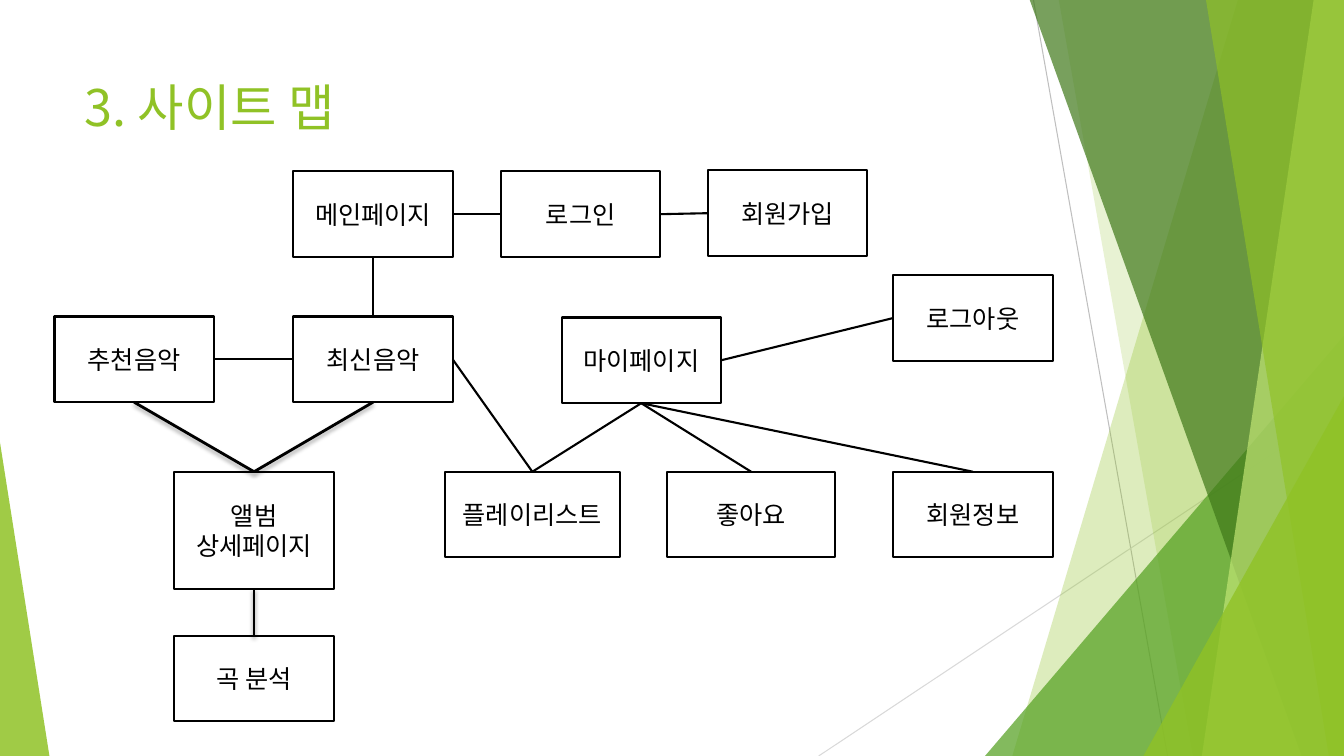
from dataclasses import dataclass

import lxml.etree
import pptx
import pptx.dml.color
import pptx.enum.shapes
import pptx.enum.text
import pptx.oxml
import pptx.oxml.ns
import pptx.util

PX = 9144
SLIDE_WIDTH, SLIDE_HEIGHT = 1333, 750
TOP, LEFT, BOTTOM, RIGHT = range(4)


@dataclass(frozen=True)
class Theme:
    font: str = "Noto Sans CJK KR"
    accent: str = "90C226"
    green: str = "54A021"
    dark_green: str = "3F7819"
    pale_green: str = "C0E474"
    gray: str = "BFBFBF"
    light_gray: str = "D9D9D9"
    ink: str = "000000"
    paper: str = "FFFFFF"
    title_size: int = 36
    title_spacing: int = 46
    page_size: int = 18
    page_spacing: int = 22
    thin: float = 0.75
    normal: float = 1.5
    thick: float = 2


THEME = Theme()


@dataclass(frozen=True)
class Band:
    top_left: int
    top_right: int
    bottom_left: int
    color: str
    opacity: int
    bottom_right: int = SLIDE_WIDTH


@dataclass(frozen=True)
class Wedge:
    left: int
    top: int
    width: int
    peak: float
    color: str
    opacity: int


@dataclass(frozen=True)
class Page:
    name: str
    left: int
    top: int
    width: int = 158
    height: int = 85


@dataclass(frozen=True)
class Link:
    start: str
    start_side: int
    end: str
    end_side: int
    shadowed: bool = False


HAIRLINES = [
    (1025, 0, 1158, SLIDE_HEIGHT, THEME.gray),
    (SLIDE_WIDTH, 403, 812, SLIDE_HEIGHT, THEME.light_gray),
]
DECORATIONS = [
    Band(1228, SLIDE_WIDTH, 1004, THEME.accent, 30),
    Band(1050, SLIDE_WIDTH, 1183, THEME.accent, 20),
    Wedge(977, 333, 356, 1, THEME.green, 72),
    Band(1021, SLIDE_WIDTH, 1291, THEME.dark_green, 70),
    Band(1303, SLIDE_WIDTH, 1192, THEME.pale_green, 70),
    Band(1196, SLIDE_WIDTH, 1318, THEME.accent, 65),
    Wedge(1134, 393, 199, 1, THEME.accent, 80),
    Wedge(0, 439, 49, 0, THEME.accent, 85),
]
PAGES = [
    Page("메인페이지", 291, 170),
    Page("로그인", 497, 170),
    Page("회원가입", 702, 169),
    Page("추천음악", 54, 314),
    Page("최신음악", 291, 314),
    Page("마이페이지", 557, 315),
    Page("로그아웃", 886, 273),
    Page("앨범\n상세페이지", 173, 468, height=116),
    Page("플레이리스트", 441, 468, width=174),
    Page("좋아요", 662, 468, width=166),
    Page("회원정보", 886, 468),
    Page("곡 분석", 173, 631, height=84),
]
LINKS = [
    Link("메인페이지", BOTTOM, "최신음악", TOP),
    Link("최신음악", RIGHT, "플레이리스트", TOP),
    Link("추천음악", RIGHT, "최신음악", LEFT),
    Link("메인페이지", RIGHT, "로그인", LEFT),
    Link("로그인", RIGHT, "회원가입", LEFT),
    Link("플레이리스트", TOP, "마이페이지", BOTTOM),
    Link("마이페이지", BOTTOM, "좋아요", TOP),
    Link("로그아웃", LEFT, "마이페이지", RIGHT),
    Link("추천음악", BOTTOM, "앨범\n상세페이지", TOP, True),
    Link("최신음악", BOTTOM, "앨범\n상세페이지", TOP, True),
    Link("앨범\n상세페이지", BOTTOM, "곡 분석", TOP, True),
    Link("회원정보", TOP, "마이페이지", BOTTOM),
]


def rgb(color: str) -> pptx.dml.color.RGBColor:
    return pptx.dml.color.RGBColor.from_string(color)


def add_child(parent, tag: str, **attributes):
    child = lxml.etree.SubElement(parent, pptx.oxml.ns.qn(tag))
    for name, value in attributes.items():
        child.set(name, str(value))
    return child


def format_text(text_frame, size: int, spacing: int, color: str, alignment) -> None:
    for paragraph in text_frame.paragraphs:
        paragraph.alignment = alignment
        paragraph.line_spacing = pptx.util.Pt(spacing)
        for run in paragraph.runs:
            run.font.size = pptx.util.Pt(size)
            run.font.color.rgb = rgb(color)
            run.font.name = THEME.font
            add_child(run.font._element, "a:ea", typeface=THEME.font)


def add_decoration(slide, decoration: Band | Wedge) -> None:
    if isinstance(decoration, Band):
        builder = slide.shapes.build_freeform(decoration.top_left, -1, scale=PX)
        builder.add_line_segments([
            (decoration.top_right, -1),
            (decoration.bottom_right, SLIDE_HEIGHT),
            (decoration.bottom_left, SLIDE_HEIGHT),
        ])
        shape = builder.convert_to_shape()
    else:
        shape = slide.shapes.add_shape(
            pptx.enum.shapes.MSO_SHAPE.ISOSCELES_TRIANGLE,
            decoration.left * PX, decoration.top * PX,
            decoration.width * PX, (SLIDE_HEIGHT - decoration.top) * PX)
        shape.adjustments[0] = decoration.peak
    shape.shadow.inherit = False
    shape.line.fill.background()
    shape.fill.solid()
    shape.fill.fore_color.rgb = rgb(decoration.color)
    fill_color = shape._element.spPr.find(".//" + pptx.oxml.ns.qn("a:srgbClr"))
    add_child(fill_color, "a:alpha", val=decoration.opacity * 1000)


def add_line(slide, points: tuple[int, ...], color: str, width: float, shadowed: bool = False):
    connector = slide.shapes.add_connector(
        pptx.enum.shapes.MSO_CONNECTOR.STRAIGHT, *(value * PX for value in points))
    connector.line.color.rgb = rgb(color)
    connector.line.width = pptx.util.Pt(width)
    effects = add_child(connector._element.spPr, "a:effectLst")
    if shadowed:
        shadow = add_child(effects, "a:outerShdw", blurRad=pptx.util.Pt(3),
                           dist=pptx.util.Pt(2), dir=90 * 60000, rotWithShape=0)
        add_child(add_child(shadow, "a:srgbClr", val=THEME.ink), "a:alpha", val=35000)
    return connector


def add_page(slide, page: Page):
    shape = slide.shapes.add_shape(
        pptx.enum.shapes.MSO_SHAPE.RECTANGLE,
        page.left * PX, page.top * PX, page.width * PX, page.height * PX)
    shape.shadow.inherit = False
    shape.fill.solid()
    shape.fill.fore_color.rgb = rgb(THEME.paper)
    shape.line.color.rgb = rgb(THEME.ink)
    shape.line.width = pptx.util.Pt(THEME.normal)
    shape.text_frame.text = page.name
    shape.text_frame.vertical_anchor = pptx.enum.text.MSO_ANCHOR.MIDDLE
    format_text(shape.text_frame, THEME.page_size, THEME.page_spacing, THEME.ink,
                pptx.enum.text.PP_ALIGN.CENTER)
    return shape


def add_title(slide, text: str) -> None:
    title = slide.shapes.title
    title.left, title.top, title.width, title.height = (
        value * PX for value in (74, 67, 940, 144))
    title.text_frame.text = text
    title.text_frame.vertical_anchor = pptx.enum.text.MSO_ANCHOR.TOP
    format_text(title.text_frame, THEME.title_size, THEME.title_spacing, THEME.accent,
                pptx.enum.text.PP_ALIGN.LEFT)


def main() -> None:
    presentation = pptx.Presentation()
    presentation.slide_width = SLIDE_WIDTH * PX
    presentation.slide_height = SLIDE_HEIGHT * PX
    slide = presentation.slides.add_slide(presentation.slide_layouts[5])
    for *points, color in HAIRLINES:
        add_line(slide, tuple(points), color, THEME.thin)
    for decoration in DECORATIONS:
        add_decoration(slide, decoration)
    add_title(slide, "3. 사이트 맵")
    shapes = {page.name: add_page(slide, page) for page in PAGES}
    for link in LINKS:
        width = THEME.thick if link.shadowed else THEME.normal
        connector = add_line(slide, (0, 0, 0, 0), THEME.ink, width, link.shadowed)
        connector.begin_connect(shapes[link.start], link.start_side)
        connector.end_connect(shapes[link.end], link.end_side)
    presentation.save("out.pptx")


if __name__ == "__main__":
    main()
